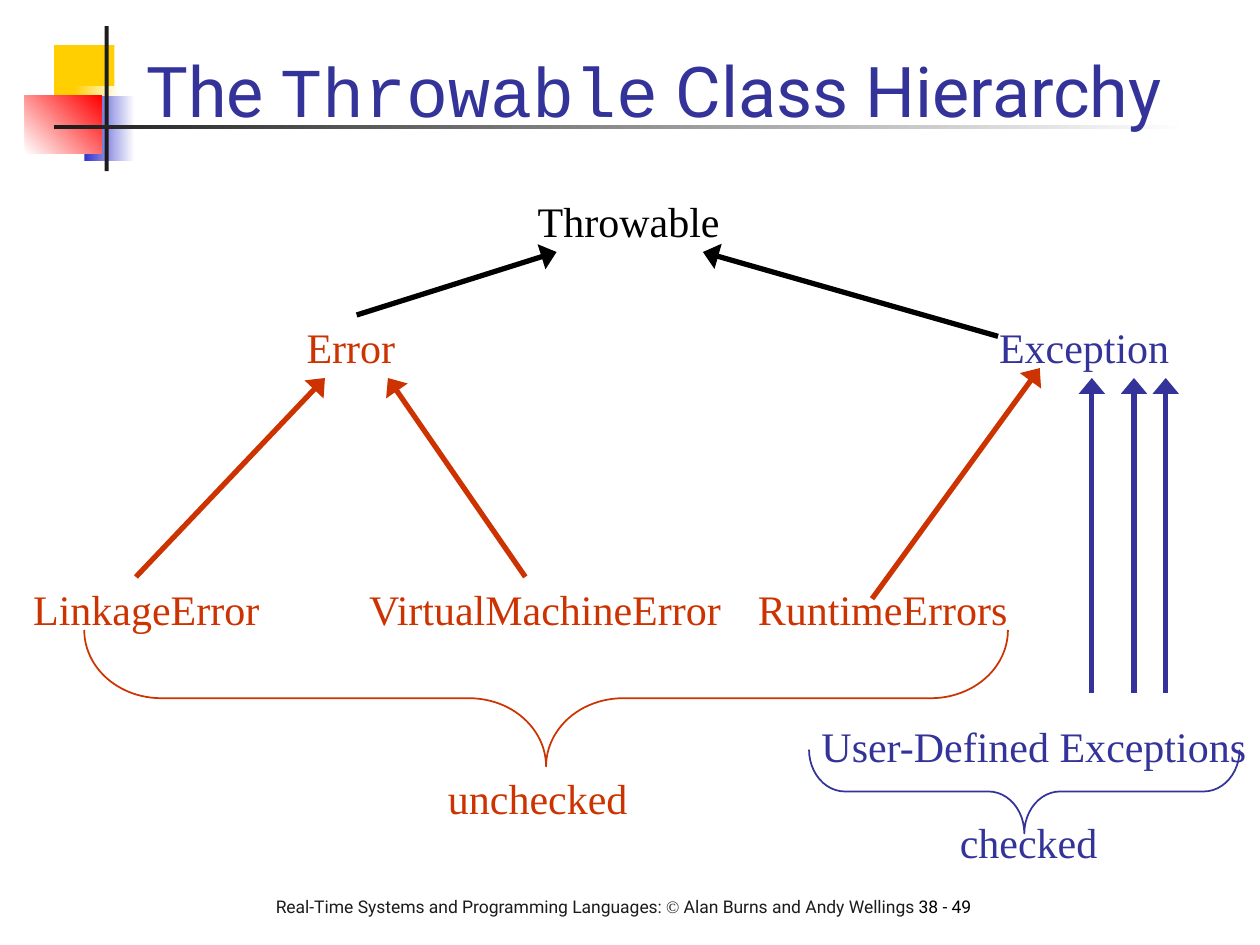
from dataclasses import dataclass
from pptx import Presentation
from pptx.dml.color import RGBColor
from pptx.enum.shapes import MSO_CONNECTOR, MSO_SHAPE
from pptx.enum.text import MSO_ANCHOR, MSO_AUTO_SIZE
from pptx.oxml.ns import qn
from pptx.slide import Slide
from pptx.util import Cm, Pt
from lxml.etree import SubElement

COLORS = {
    "black": "000000",
    "charcoal": "1C1C1C",
    "white": "FFFFFF",
    "yellow": "FFCF01",
    "blue": "3333CC",
    "red": "FF0000",
    "navy": "333399",
    "rust": "CC3300",
}
SANS, SERIF, MONO = "Roboto", "Times New Roman", "Courier New"


def rgb(name):
    return RGBColor.from_string(COLORS[name])


@dataclass
class HierarchySlide:
    page: Slide
    label_size: int = 24
    label_height: float = 1.27
    arrow_width: int = 3
    brace_width: int = 1

    def block(self, left, top, width, height, start, end=None, angle=0):
        block = self.page.shapes.add_shape(
            MSO_SHAPE.RECTANGLE, Cm(left), Cm(top), Cm(width), Cm(height))
        block.shadow.inherit = False
        block.line.fill.background()
        if end is None:
            block.fill.solid()
            block.fill.fore_color.rgb = rgb(start)
            return
        block.fill.gradient()
        block.fill.gradient_angle = angle
        for stop, color in zip(block.fill.gradient_stops, (start, end)):
            stop.color.rgb = rgb(color)

    def text(self, left, top, width, height, spans, size, wrap=True,
             anchor=MSO_ANCHOR.TOP):
        box = self.page.shapes.add_textbox(Cm(left), Cm(top), Cm(width), Cm(height))
        frame = box.text_frame
        frame.word_wrap = wrap
        frame.auto_size = MSO_AUTO_SIZE.NONE if wrap else MSO_AUTO_SIZE.SHAPE_TO_FIT_TEXT
        frame.vertical_anchor = anchor
        para = frame.paragraphs[0]
        for words, font, color in spans:
            span = para.add_run()
            span.text = words
            span.font.name = font
            span.font.size = Pt(size)
            span.font.color.rgb = rgb(color)

    def label(self, words, left, top, width, color):
        self.text(left, top, width, self.label_height, [(words, SERIF, color)],
                  self.label_size, wrap=False)

    def arrow(self, start, end, color, group=None):
        shapes = group.shapes if group else self.page.shapes
        arrow = shapes.add_connector(
            MSO_CONNECTOR.STRAIGHT, *(Cm(value) for value in (*start, *end)))
        arrow.line.color.rgb = rgb(color)
        arrow.line.width = Pt(self.arrow_width)
        properties = arrow.element.spPr
        SubElement(properties.find(qn("a:ln")), qn("a:tailEnd"),
                   type="triangle", w="lg", len="med")
        SubElement(properties, qn("a:effectLst"))

    def arrow_group(self, lefts, bottom, top, color):
        group = self.page.shapes.add_group_shape()
        for left in lefts:
            self.arrow((left, bottom), (left, top), color, group)

    def brace_below(self, left, top, length, depth, color):
        shift = (length - depth) / 2
        brace = self.page.shapes.add_shape(
            MSO_SHAPE.LEFT_BRACE, Cm(left + shift), Cm(top - shift), Cm(depth), Cm(length))
        brace.rotation = 270
        brace.adjustments[0] = length / depth / 12
        brace.shadow.inherit = False
        brace.fill.background()
        brace.line.color.rgb = rgb(color)
        brace.line.width = Pt(self.brace_width)


def main():
    deck = Presentation()
    deck.slide_width, deck.slide_height = Cm(25.4), Cm(19.05)
    slide = HierarchySlide(deck.slides.add_slide(deck.slide_layouts[6]))

    slide.block(1.09, 0.91, 1.22, 1.32, "yellow")
    slide.block(1.5, 1.73, 0.91, 1.32, "yellow", "white")
    slide.block(1.7, 1.93, 1.02, 1.32, "blue", "white")
    slide.block(0.5, 1.93, 1.55, 1.17, "white", "red", 45)
    slide.block(2.11, 0.53, 0.08, 2.92, "charcoal")
    slide.block(1.09, 2.52, 22.86, 0.09, "charcoal", "white")

    slide.text(5.31, 17.93, 15.39, 1.17, [
        ("Real-Time Systems and Programming Languages: ", SANS, "charcoal"),
        ("©", SERIF, "charcoal"),
        (" Alan Burns and Andy Wellings ", SANS, "charcoal"),
        ("38 - 49", SANS, "black"),
    ], 10)
    slide.text(2.7, 0.32, 21.64, 2.46, [
        ("The ", SANS, "navy"),
        ("Throwable", MONO, "navy"),
        (" Class Hierarchy", SANS, "navy"),
    ], 40, anchor=MSO_ANCHOR.BOTTOM)

    for label in (
        ("Throwable", 10.59, 3.81, 4.22, "black"),
        ("Error", 5.93, 6.35, 2.35, "rust"),
        ("Exception", 19.89, 6.35, 4, "navy"),
        ("LinkageError", 0.42, 11.63, 5.15, "rust"),
        ("VirtualMachineError", 7.19, 11.63, 7.7, "rust"),
        ("RuntimeErrors", 15.03, 11.63, 5.6, "rust"),
        ("User-Defined Exceptions", 16.31, 14.4, 9.12, "navy"),
        ("unchecked", 8.78, 15.44, 4.2, "rust"),
        ("checked", 19.1, 16.33, 3.33, "navy"),
    ):
        slide.label(*label)

    for start, end, color in (
        ((2.74, 11.63), (6.55, 7.62), "rust"),
        ((10.59, 11.63), (7.82, 7.62), "rust"),
        ((7.19, 6.35), (11.22, 5.08), "black"),
        ((20.12, 6.78), (14.17, 5.08), "black"),
        ((17.58, 12.07), (20.96, 7.42), "rust"),
    ):
        slide.arrow(start, end, color)
    slide.arrow_group((22.01, 22.86, 23.5), 13.97, 7.62, "navy")

    slide.brace_below(1.7, 12.7, 18.62, 2.75, "rust")
    slide.brace_below(16.31, 15.11, 8.68, 1.69, "navy")

    deck.save("out.pptx")


if __name__ == "__main__":
    main()
